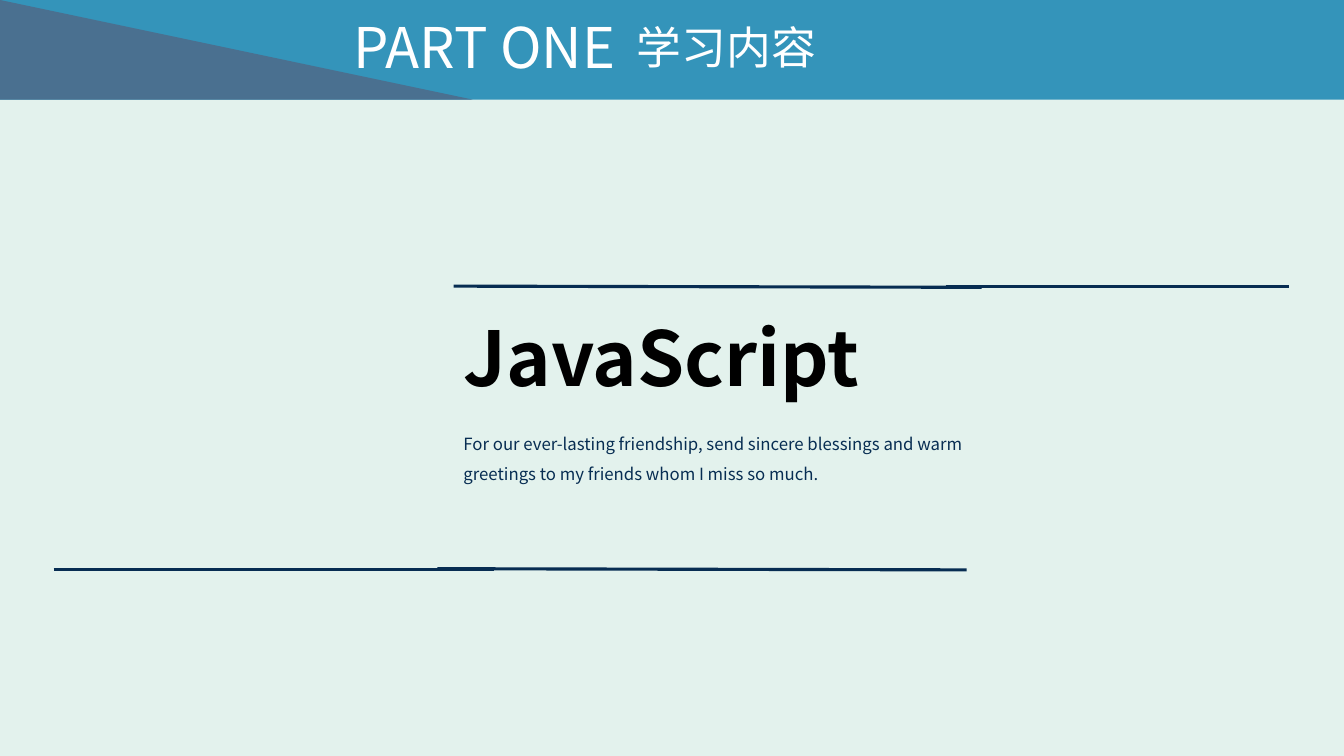
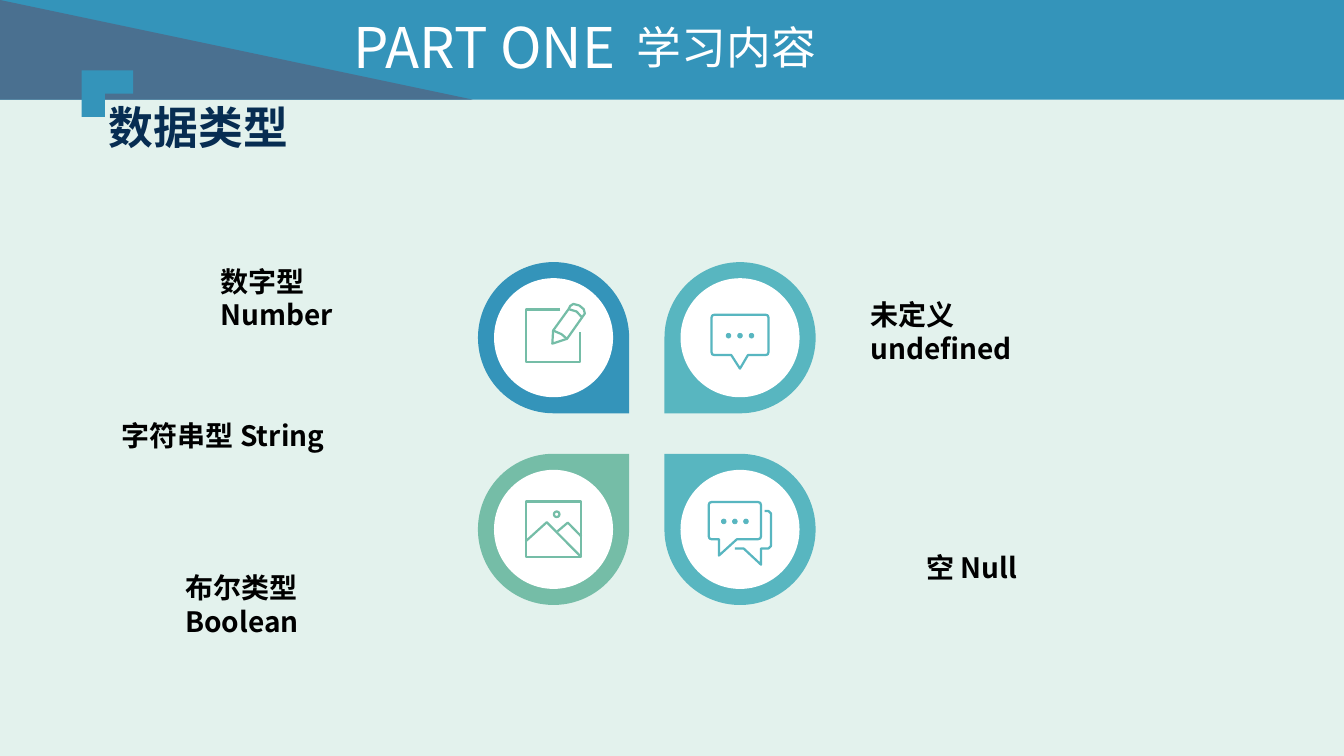
from pptx import Presentation
from pptx.dml.color import RGBColor
from pptx.enum.shapes import MSO_CONNECTOR, MSO_SHAPE
from pptx.oxml.xmlchemy import OxmlElement
from pptx.util import Cm, Pt

BLUE, SLATE, NAVY = "3494BA", "4A7090", "072D52"
GREEN, TEAL = "75BDA7", "58B6C0"
PALE, WHITE, BLACK = "E3F2ED", "FFFFFF", "000000"
HEAD_FONT, BODY_FONT = "Noto Sans CJK JP", "Noto Sans CJK SC"


def paint(fill, color):
    fill.solid()
    fill.fore_color.rgb = RGBColor.from_string(color)


def write(page, text, left, top, width, height, size, color=BLACK,
          font=BODY_FONT, bold=False, spacing=1.0):
    box = page.shapes.add_textbox(Cm(left), Cm(top), Cm(width), Cm(height))
    box.text_frame.word_wrap = True
    para = box.text_frame.paragraphs[0]
    para.line_spacing = spacing
    span = para.add_run()
    span.text = text
    span.font.size = Pt(size)
    span.font.bold = bold
    span.font.name = font
    paint(span.font.fill, color)
    east_asian = OxmlElement("a:ea")
    east_asian.set("typeface", font)
    span._r.get_or_add_rPr().append(east_asian)


deck = Presentation()
deck.slide_width, deck.slide_height = Cm(33.87), Cm(19.05)
paint(deck.slide_master.background.fill, PALE)

pages = [deck.slides.add_slide(deck.slide_layouts[6]) for _ in range(2)]
for page in pages:
    for kind, width, color in [(MSO_SHAPE.RECTANGLE, 33.87, BLUE),
                               (MSO_SHAPE.ISOSCELES_TRIANGLE, 11.91, SLATE)]:
        band = page.shapes.add_shape(kind, 0, 0, Cm(width), Cm(2.51))
        band.shadow.inherit = False
        paint(band.fill, color)
        band.line.fill.background()
    band.adjustments[0] = 0
    write(page, "PART ONE", 8.66, 0.18, 10.44, 1.96, 40, WHITE, HEAD_FONT)
    write(page, "学习内容", 15.8, 0.36, 7.59, 1.63, 32, WHITE, HEAD_FONT)

cover, types = pages

for start_x, start_y, end_x, end_y in [
    (11.43, 7.21, 24.74, 7.24),
    (23.83, 7.21, 32.49, 7.21),
    (1.35, 14.35, 12.45, 14.35),
    (11.02, 14.33, 24.36, 14.36),
]:
    rule = cover.shapes.add_connector(
        MSO_CONNECTOR.STRAIGHT, Cm(start_x), Cm(start_y), Cm(end_x), Cm(end_y))
    paint(rule.line.fill, NAVY)
    rule.line.width = Pt(2.25)
    rule.element.spPr.append(OxmlElement("a:effectLst"))

write(cover, "For our ever-lasting friendship, send sincere blessings and warm "
      "greetings to my friends whom I miss so much.",
      11.43, 10.54, 13.89, 1.7, 12, NAVY, spacing=1.5)
write(cover, "JavaScript", 11.43, 7.72, 13.21, 2.57, 54, bold=True)

picture_lines = [
    ([(-0.7, -0.7), (0.7, -0.7), (0.7, 0.7), (-0.7, 0.7)], True),
    ([(-0.7, 0.3), (-0.17, -0.18), (0.7, 0.7)], False),
    ([(0.1, 0.05), (0.36, -0.17), (0.7, 0.18)], False),
]
note_lines = [
    ([(0.17, -0.71), (-0.69, -0.71), (-0.69, 0.62), (0.66, 0.62),
      (0.66, -0.13)], False),
    ([(0.38, -0.72), (-0.01, -0.18), (-0.03, 0.15), (0.34, 0.03),
      (0.72, -0.51), (0.79, -0.61), (0.76, -0.72), (0.65, -0.81),
      (0.5, -0.85), (0.42, -0.8)], True),
    ([(0.38, -0.72), (0.58, -0.66), (0.72, -0.51)], False),
    ([(-0.01, -0.18), (0.2, -0.09), (0.34, 0.03)], False),
]
bubble_lines = [
    ([(-0.64, -0.58), (0.64, -0.58), (0.7, -0.56), (0.72, -0.5), (0.72, 0.36),
      (0.7, 0.42), (0.64, 0.44), (0.2, 0.44), (0, 0.78), (-0.22, 0.44),
      (-0.64, 0.44), (-0.7, 0.42), (-0.72, 0.36), (-0.72, -0.5),
      (-0.7, -0.56)], True),
]
chat_lines = [
    ([(-0.71, -0.69), (0.45, -0.69), (0.51, -0.67), (0.53, -0.61),
      (0.53, 0.17), (0.51, 0.23), (0.45, 0.25), (-0.08, 0.25), (-0.53, 0.66),
      (-0.53, 0.25), (-0.71, 0.25), (-0.77, 0.23), (-0.79, 0.17),
      (-0.79, -0.61), (-0.77, -0.67)], True),
    ([(0.62, -0.46), (0.72, -0.46), (0.78, -0.4), (0.78, 0.42), (0.72, 0.48),
      (0.53, 0.48), (0.53, 0.89), (0.09, 0.48), (-0.13, 0.48)], False),
]
bubble_dots = [(-0.29, -0.05), (0, -0.05), (0.29, -0.05)]
chat_dots = [(-0.41, -0.2), (-0.13, -0.2), (0.15, -0.2)]

LEFT, RIGHT, UPPER, LOWER = 13.95, 18.65, 8.51, 13.34
for x, y, turn, color, ink, lines, dots, dot_fill in [
    (LEFT, LOWER, 0, GREEN, GREEN, picture_lines, [(0.08, -0.38)], WHITE),
    (RIGHT, LOWER, 270, TEAL, TEAL, chat_lines, chat_dots, TEAL),
    (LEFT, UPPER, 90, BLUE, GREEN, note_lines, [], WHITE),
    (RIGHT, UPPER, 180, TEAL, TEAL, bubble_lines, bubble_dots, TEAL),
]:
    for kind, size, fill in [(MSO_SHAPE.TEAR, 3.81, color),
                             (MSO_SHAPE.OVAL, 3, WHITE)]:
        petal = types.shapes.add_shape(
            kind, Cm(x - size / 2), Cm(y - size / 2), Cm(size), Cm(size))
        petal.rotation = turn
        petal.shadow.inherit = False
        paint(petal.fill, fill)
        petal.line.fill.background()
    for points, closed in lines:
        corners = [(Cm(x + across), Cm(y + down)) for across, down in points]
        builder = types.shapes.build_freeform(*corners[0])
        builder.add_line_segments(corners[1:], close=closed)
        stroke = builder.convert_to_shape()
        stroke.shadow.inherit = False
        stroke.fill.background()
        paint(stroke.line.fill, ink)
        stroke.line.width = Pt(1.6)
    for across, down in dots:
        radius = 0.07 if dot_fill == WHITE else 0.06
        dot = types.shapes.add_shape(
            MSO_SHAPE.OVAL, Cm(x + across - radius), Cm(y + down - radius),
            Cm(2 * radius), Cm(2 * radius))
        dot.shadow.inherit = False
        paint(dot.fill, dot_fill)
        paint(dot.line.fill, ink)
        dot.line.width = Pt(1.6 if dot_fill == WHITE else 0.5)

for text, left, top, width in [
    ("数字型 Number", 5.31, 6.53, 5.13),
    ("布尔类型 Boolean", 4.42, 14.25, 5.3),
    ("未定义 undefined", 21.69, 7.37, 5.3),
    ("空 Null", 23.09, 13.74, 3.3),
    ("字符串型 String", 2.82, 10.41, 6),
]:
    write(types, text, left, top, width, 1.09, 20, bold=True)

corner = types.shapes.add_shape(
    MSO_SHAPE.CORNER, Cm(2.12), Cm(1.71), Cm(1.17), Cm(1.3))
corner.rotation = 90
corner.shadow.inherit = False
paint(corner.fill, BLUE)
corner.line.fill.background()
write(types, "数据类型", 2.49, 2.39, 8.86, 1.63, 32, NAVY, bold=True)

deck.save("out.pptx")
